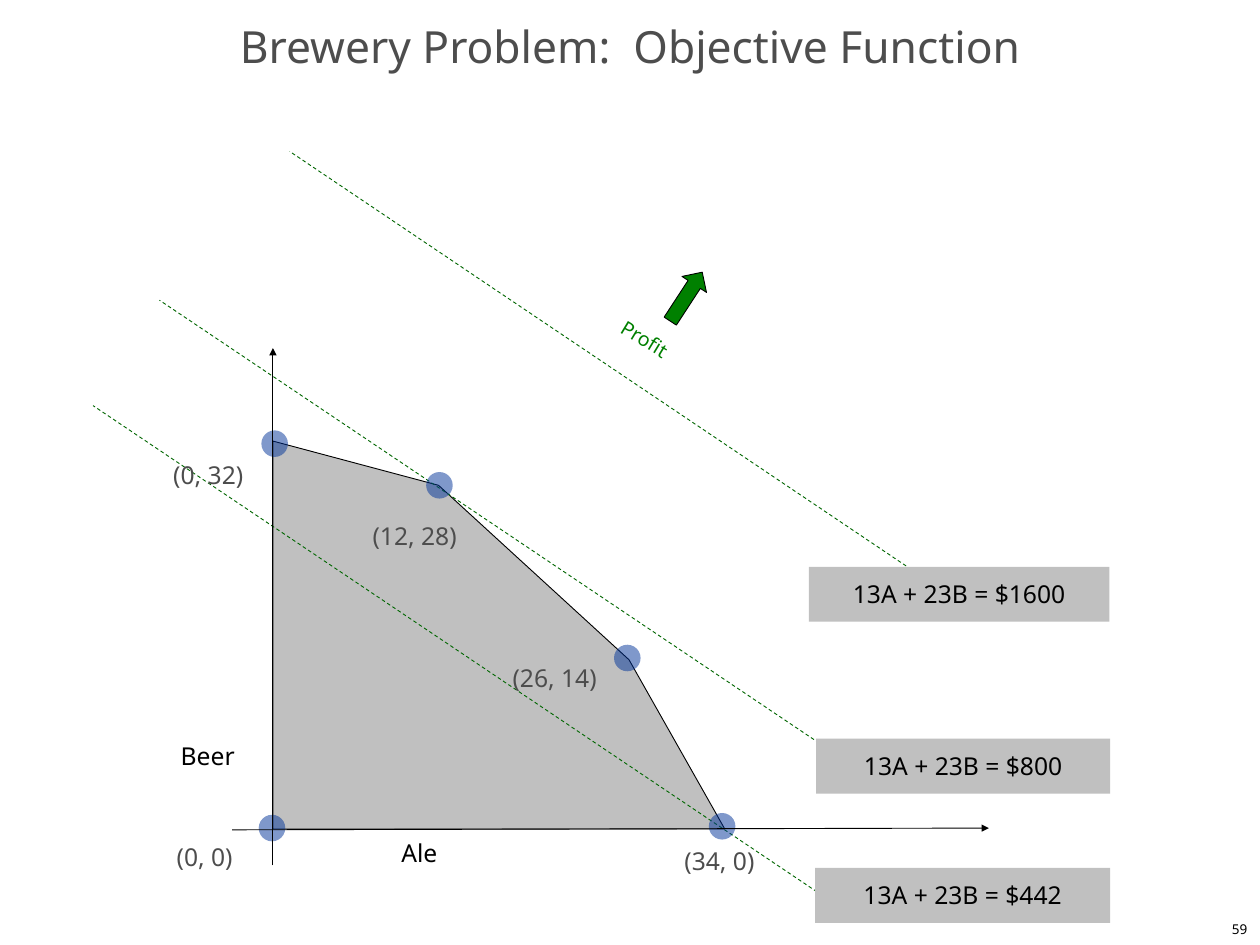
from dataclasses import dataclass

from lxml import etree
from pptx import Presentation
from pptx.dml.color import RGBColor
from pptx.enum.dml import MSO_LINE
from pptx.enum.shapes import MSO_CONNECTOR, MSO_SHAPE
from pptx.enum.text import MSO_ANCHOR, MSO_AUTO_SIZE, PP_ALIGN
from pptx.oxml.ns import qn
from pptx.util import Inches, Pt

STRAIGHT = MSO_CONNECTOR.STRAIGHT
RECT, OVAL, UP_ARROW = MSO_SHAPE.RECTANGLE, MSO_SHAPE.OVAL, MSO_SHAPE.UP_ARROW
LEFT, CENTER, RIGHT = PP_ALIGN.LEFT, PP_ALIGN.CENTER, PP_ALIGN.RIGHT
TOP, MIDDLE = MSO_ANCHOR.TOP, MSO_ANCHOR.MIDDLE
NO_FIT = MSO_AUTO_SIZE.NONE
DASH = MSO_LINE.DASH

Point = tuple[float, float]


@dataclass(frozen=True)
class Theme:
    font: str = "Noto Sans"
    ink: str = "000000"
    muted: str = "4D4D4D"
    region: str = "C0C0C0"
    contour: str = "006600"
    profit: str = "008000"
    corner: str = "003399"
    title_size: float = 36
    label_size: float = 20
    profit_size: float = 16
    number_size: float = 11
    line_width: float = 0.75
    corner_alpha: int = 50


@dataclass(frozen=True)
class Box:
    left: float
    top: float
    width: float
    height: float

    def emu(self) -> list[int]:
        return [Inches(v) for v in (self.left, self.top, self.width, self.height)]


@dataclass(frozen=True)
class Label:
    text: str
    box: Box
    color: str
    size: float
    align: PP_ALIGN = LEFT
    anchor: MSO_ANCHOR = TOP
    wrap: bool = True
    rotation: float = 0


@dataclass(frozen=True)
class Corner:
    text: str
    label_left: float
    label_top: float
    label_width: float
    center: Point


@dataclass(frozen=True)
class ProfitLine:
    text: str
    start: Point
    end: Point
    box: Box


THEME = Theme()
WIDTH, HEIGHT = 14.22, 10.67
LABEL_H = 0.48
RESULT_H = 0.62
DOT = 0.3

REGION = [(3.08, 9.36), (3.08, 4.98), (4.95, 5.48), (7.1, 7.45), (8.18, 9.36)]

PROFIT_LINES = [
    ProfitLine("13A + 23B = $800", (9.9, 8.83), (1.8, 3.39), Box(9.21, 8.34, 3.32, RESULT_H)),
    ProfitLine("13A + 23B = $1600", (10.88, 6.83), (3.27, 1.71), Box(9.13, 6.4, 3.39, RESULT_H)),
    ProfitLine("13A + 23B = $442", (9.28, 10.11), (1.05, 4.58), Box(9.2, 9.8, 3.33, RESULT_H)),
]

CORNERS = [
    Corner("(34, 0)", 7.35, 9.48, 1.54, (8.15, 9.33)),
    Corner("(0, 32)", 1.64, 5.12, 1.42, (3.1, 5.01)),
    Corner("(12, 28)", 3.79, 5.81, 1.78, (4.96, 5.48)),
    Corner("(26, 14)", 5.29, 7.42, 1.94, (7.08, 7.43)),
    Corner("(0, 0)", 1.54, 9.44, 1.54, (3.07, 9.35)),
]

LABELS = [
    Label("Profit", Box(6.85, 3.63, 0.87, 0.41), THEME.profit, THEME.profit_size,
          wrap=False, rotation=31.2),
    Label("Ale", Box(4.39, 9.39, 1.3, LABEL_H), THEME.ink, THEME.label_size),
    Label("Beer", Box(1.9, 8.3, 1.3, LABEL_H), THEME.ink, THEME.label_size),
    Label("59", Box(11.26, 10.31, 2.96, 0.36), THEME.ink, THEME.number_size,
          RIGHT, MIDDLE, wrap=False),
]

AXES = [((2.62, 9.37), (11.16, 9.35)), ((3.08, 9.77), (3.08, 3.93))]


def rgb(color: str) -> RGBColor:
    return RGBColor.from_string(color)


def write(s, label: Label, inset_x: float = 0.14, inset_y: float = 0.07) -> None:
    tf = s.text_frame
    tf.auto_size = NO_FIT
    tf.word_wrap = label.wrap
    tf.vertical_anchor = label.anchor
    tf.margin_left = tf.margin_right = Inches(inset_x)
    tf.margin_top = tf.margin_bottom = Inches(inset_y)
    p = tf.paragraphs[0]
    p.text = label.text
    p.alignment = label.align
    p.font.name = THEME.font
    p.font.size = Pt(label.size)
    p.font.color.rgb = rgb(label.color)


def add_label(slide, label: Label) -> None:
    s = slide.shapes.add_textbox(*label.box.emu())
    s.rotation = label.rotation
    write(s, label)


def paint(s, fill: str, outlined: bool = False) -> None:
    s.shadow.inherit = False
    s.fill.solid()
    s.fill.fore_color.rgb = rgb(fill)
    if outlined:
        s.line.color.rgb = rgb(THEME.ink)
        s.line.width = Pt(THEME.line_width)
    else:
        s.line.fill.background()


def add_line(slide, start: Point, end: Point, color: str, dashed: bool = False,
             arrow: bool = False) -> None:
    s = slide.shapes.add_connector(STRAIGHT, *[Inches(v) for v in (*start, *end)])
    s.line.color.rgb = rgb(color)
    s.line.width = Pt(THEME.line_width)
    if dashed:
        s.line.dash_style = DASH
    if arrow:
        etree.SubElement(s.line._get_or_add_ln(), qn("a:tailEnd"), type="triangle")
    etree.SubElement(s._element.spPr, qn("a:effectLst"))


def add_region(slide) -> None:
    points = [(Inches(x), Inches(y)) for x, y in REGION]
    builder = slide.shapes.build_freeform(*points[0])
    builder.add_line_segments(points[1:], close=True)
    paint(builder.convert_to_shape(), THEME.region, outlined=True)


def add_profit_line(slide, line: ProfitLine) -> None:
    add_line(slide, line.start, line.end, THEME.contour, dashed=True)
    s = slide.shapes.add_shape(RECT, *line.box.emu())
    paint(s, THEME.region)
    write(s, Label(line.text, line.box, THEME.ink, THEME.label_size, CENTER), 0.21, 0.14)


def add_corner(slide, corner: Corner) -> None:
    box = Box(corner.label_left, corner.label_top, corner.label_width, LABEL_H)
    add_label(slide, Label(corner.text, box, THEME.muted, THEME.label_size, CENTER))
    x, y = corner.center
    s = slide.shapes.add_shape(OVAL, *Box(x - DOT / 2, y - DOT / 2, DOT, DOT).emu())
    paint(s, THEME.corner)
    color = s._element.spPr.find(qn("a:solidFill")).find(qn("a:srgbClr"))
    etree.SubElement(color, qn("a:alpha"), val=str(THEME.corner_alpha * 1000))


def add_profit_arrow(slide) -> None:
    s = slide.shapes.add_shape(UP_ARROW, *Box(7.58, 3.02, 0.33, 0.66).emu())
    s.adjustments[0] = 0.5
    s.adjustments[1] = 0.5
    s.rotation = 33.1
    paint(s, THEME.profit, outlined=True)


def set_title(slide) -> None:
    s = slide.shapes.title
    box = Box(0, 0.24, WIDTH, 0.71)
    s.left, s.top, s.width, s.height = box.emu()
    write(s, Label("Brewery Problem:  Objective Function", box, THEME.muted,
                   THEME.title_size, CENTER, MIDDLE))
    s.text_frame.paragraphs[0].line_spacing = 0.7


def main() -> None:
    prs = Presentation()
    prs.slide_width, prs.slide_height = Inches(WIDTH), Inches(HEIGHT)
    slide = prs.slides.add_slide(prs.slide_layouts.get_by_name("Title Only"))
    set_title(slide)
    add_region(slide)
    for line in PROFIT_LINES:
        add_profit_line(slide, line)
    for corner in CORNERS:
        add_corner(slide, corner)
    add_profit_arrow(slide)
    for label in LABELS:
        add_label(slide, label)
    for start, end in AXES:
        add_line(slide, start, end, THEME.ink, arrow=True)
    prs.save("out.pptx")


if __name__ == "__main__":
    main()
